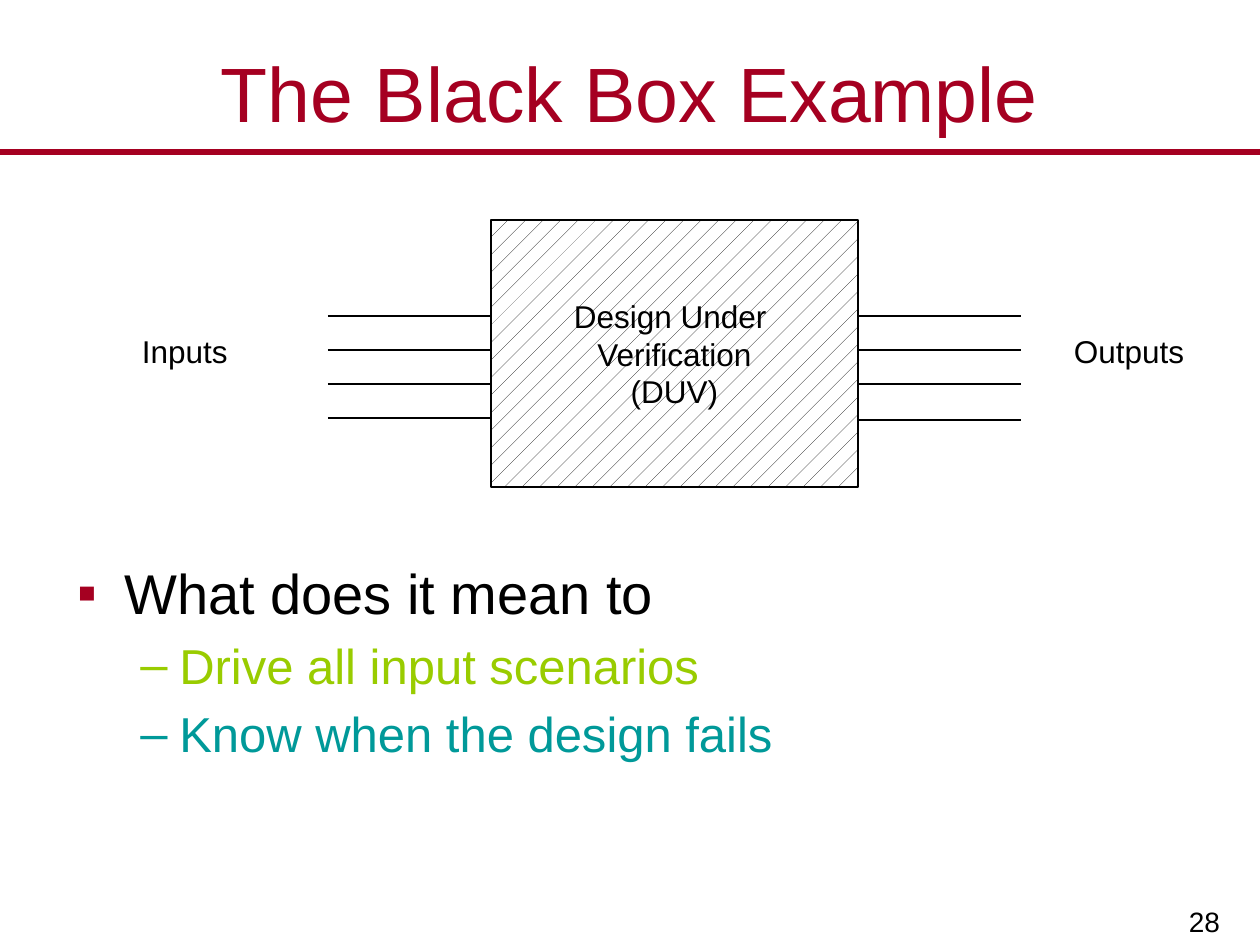
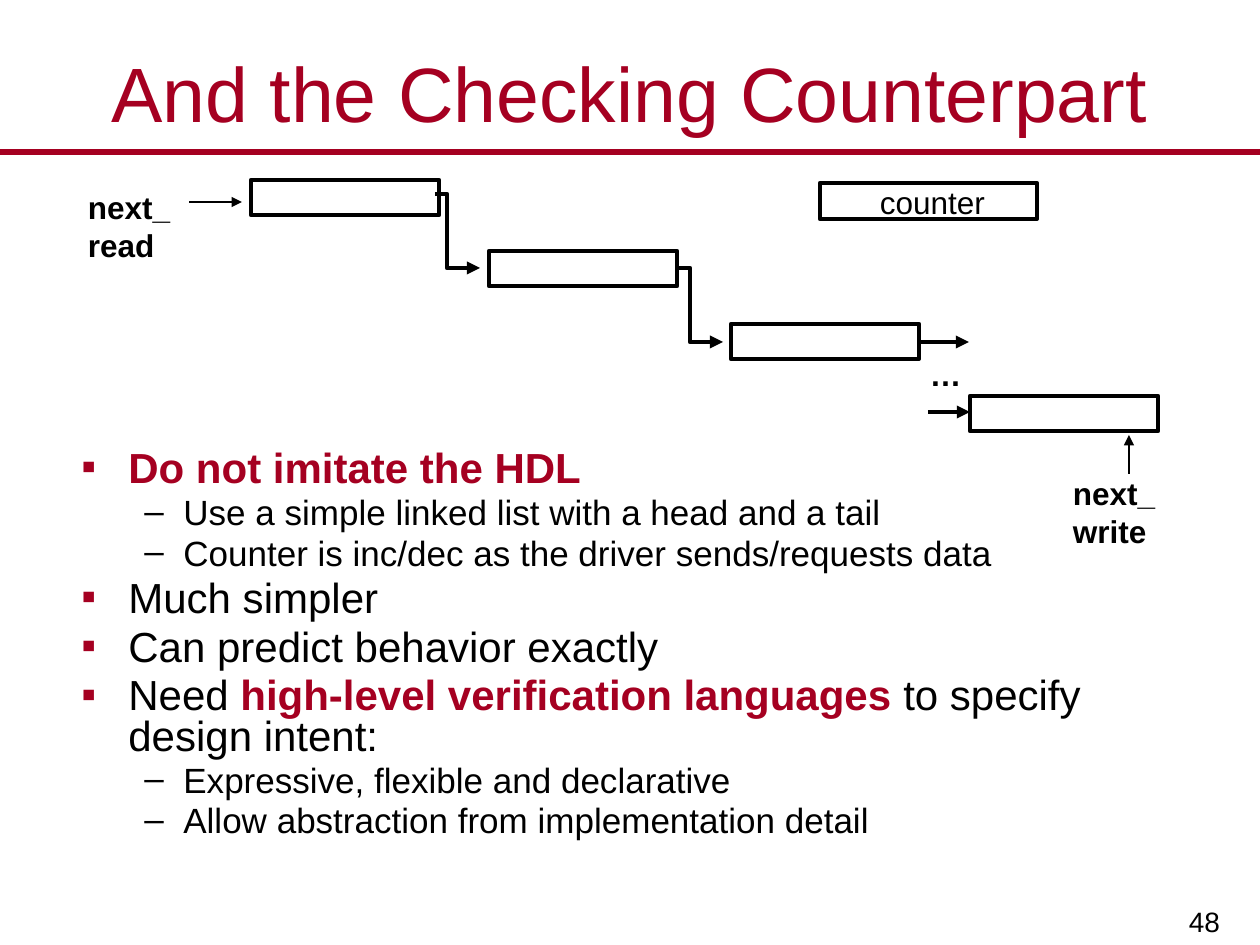
from lxml import etree
from pptx import Presentation
from pptx import util as u
from pptx.dml import color
from pptx.enum import dml, shapes, text
from pptx.oxml import ns

SCALE = 914400 / 126
FONT = "Arial"
RED, BLACK, WHITE, GREEN, TEAL = "A50021", "000000", "FFFFFF", "99CC00", "009999"
LEFT, CENTER, RIGHT = text.PP_ALIGN.LEFT, text.PP_ALIGN.CENTER, text.PP_ALIGN.RIGHT
TOP, MIDDLE, BOTTOM = text.MSO_ANCHOR.TOP, text.MSO_ANCHOR.MIDDLE, text.MSO_ANCHOR.BOTTOM
PADDING = (13, 6)
THIN, MEDIUM, THICK = 0.75, 1.5, 2.5

# Outline entries: level, then (words, colour, bold) runs
BLACK_BOX = {
    "title": "The Black Box Example", "number": "28",
    "outline_at": (64, 552, 1134, 294), "sizes": (32, 28), "spacing": None,
    "outline": [
        (0, [("What does it mean to", BLACK, False)]),
        (1, [("Drive all input scenarios", GREEN, False)]),
        (1, [("Know when the design fails", TEAL, False)]),
    ],
}
COUNTERPART = {
    "title": "And the Checking Counterpart", "number": "48",
    "outline_at": (68, 445, 1119, 438), "sizes": (24, 20), "spacing": 0.8,
    "outline": [
        (0, [("Do not imitate the HDL", RED, True)]),
        (1, [("Use a simple linked list with a head and a tail", BLACK, False)]),
        (1, [("Counter is inc/dec as the driver sends/requests data", BLACK, False)]),
        (0, [("Much simpler", BLACK, False)]),
        (0, [("Can predict behavior exactly", BLACK, False)]),
        (0, [("Need ", BLACK, False),
             ("high-level verification languages", RED, True),
             (" to specify design intent:", BLACK, False)]),
        (1, [("Expressive, flexible and declarative", BLACK, False)]),
        (1, [("Allow abstraction from implementation detail", BLACK, False)]),
    ],
}
BULLETS = [("▪", RED, 48, 47), ("–", None, 103, 39)]  # sign, colour, margin, hang

DESIGN_BOX = (491, 220, 367, 267)
DESIGN_LINES = ["Design Under ", "Verification", "(DUV)"]
WIRE_LENGTH = 163
INPUT_ROWS = [316, 350, 384, 418]
OUTPUT_ROWS = [316, 350, 384, 420]
PORT_LABELS = [("Inputs", (129, 326, 124, 50)), ("Outputs", (1061, 326, 150, 50))]

NODE_SIZE = (188, 35)
NODES = [(251, 180), (489, 251), (731, 324), (970, 396)]
ELBOW_STARTS = [(435, 194), (678, 268)]
ELBOW_STEPS = [(12, 0), (12, 74), (45, 74)]
ARROWS = [
    ((189, 202), (242, 202), MEDIUM),
    ((1129, 474), (1129, 435), MEDIUM),
    ((920, 342), (969, 342), THICK),
    ((928, 412), (970, 412), THICK),
]
COUNTER_BOX = (820, 183, 217, 36)
POINTER_LABELS = [
    (["next_", "read"], (88, 188, 101, 73)),
    (["next_", "write"], (1073, 474, 102, 67)),
    (["…"], (930, 355, 102, 67)),
]


def emu(*pixels):
    """Turn pixel lengths into EMU."""
    return [u.Emu(round(value * SCALE)) for value in pixels]


def rgb(code):
    """Make a colour from a hex string."""
    return color.RGBColor.from_string(code)


def style_run(run, size, hue=BLACK, bold=False):
    """Set the font of one run."""
    run.font.name, run.font.size, run.font.bold = FONT, u.Pt(size), bold
    run.font.color.rgb = rgb(hue)


def frame_text(shape, lines, size, hue=BLACK, bold=False, align=LEFT,
               anchor=TOP, padding=PADDING):
    """Fill a shape with equally styled paragraphs."""
    frame = shape.text_frame
    frame.word_wrap, frame.vertical_anchor = True, anchor
    frame.margin_left, frame.margin_top = emu(*padding)
    frame.margin_right, frame.margin_bottom = emu(*padding)
    frame.text = "\n".join(lines)
    for paragraph in frame.paragraphs:
        paragraph.alignment = align
        for run in paragraph.runs:
            style_run(run, size, hue, bold)


def add_label(slide, at, lines, size, **style):
    """Add a text box."""
    frame_text(slide.shapes.add_textbox(*emu(*at)), lines, size, **style)


def set_line(shape, width, hue=BLACK, arrow=False):
    """Style an outline or line, with an arrowhead if wanted."""
    shape.line.color.rgb, shape.line.width = rgb(hue), u.Pt(width)
    if arrow:
        outline = shape._element.spPr.find(ns.qn("a:ln"))
        etree.SubElement(outline, ns.qn("a:tailEnd"), type="triangle")


def add_line(slide, start, end, width, hue=BLACK, arrow=False):
    """Add a straight connector without shadow."""
    line = slide.shapes.add_connector(shapes.MSO_CONNECTOR.STRAIGHT, *emu(*start, *end))
    set_line(line, width, hue, arrow)
    etree.SubElement(line._element.spPr, ns.qn("a:effectLst"))


def add_box(slide, at, width, kind=shapes.MSO_SHAPE.RECTANGLE):
    """Add an unfilled outlined box."""
    box = slide.shapes.add_shape(kind, *emu(*at))
    box.shadow.inherit = False
    box.fill.background()
    set_line(box, width)
    return box


def add_elbow(slide, start):
    """Add a bent arrow leading from one node to the next."""
    x, y = start
    builder = slide.shapes.build_freeform(x, y, scale=SCALE)
    builder.add_line_segments([(x + dx, y + dy) for dx, dy in ELBOW_STEPS], close=False)
    elbow = builder.convert_to_shape()
    elbow.shadow.inherit = False
    elbow.fill.background()
    set_line(elbow, THICK, arrow=True)


def set_bullet(paragraph, level):
    """Give a paragraph its indent, space before and bullet."""
    sign, hue, margin, hang = BULLETS[level]
    paragraph.level = level
    properties = paragraph._p.get_or_add_pPr()
    properties.set("marL", str(emu(margin)[0]))
    properties.set("indent", str(emu(-hang)[0]))
    before = etree.SubElement(properties, ns.qn("a:spcBef"))
    etree.SubElement(before, ns.qn("a:spcPct"), val="20000")
    if hue:
        bullet_color = etree.SubElement(properties, ns.qn("a:buClr"))
        etree.SubElement(bullet_color, ns.qn("a:srgbClr"), val=hue)
    etree.SubElement(properties, ns.qn("a:buFont"), typeface=FONT)
    etree.SubElement(properties, ns.qn("a:buChar"), char=sign)


def add_outline(slide, content):
    """Add the bulleted text of a slide."""
    frame = slide.shapes.add_textbox(*emu(*content["outline_at"])).text_frame
    frame.word_wrap = True
    for index, (level, runs) in enumerate(content["outline"]):
        paragraph = frame.add_paragraph() if index else frame.paragraphs[0]
        paragraph.line_spacing = content["spacing"]
        set_bullet(paragraph, level)
        for words, hue, bold in runs:
            run = paragraph.add_run()
            run.text = words
            style_run(run, content["sizes"][level], hue, bold)


def add_slide(presentation, content):
    """Add a slide with rule, number, title and outline."""
    slide = presentation.slides.add_slide(presentation.slide_layouts[6])
    add_line(slide, (0, 152), (1260, 152), 3, RED)
    add_label(slide, (983, 873, 251, 72), [content["number"]], 16,
              align=RIGHT, anchor=BOTTOM, padding=(14, 7))
    add_label(slide, (0, 38, 1260, 108), [content["title"]], 44,
              hue=RED, align=CENTER, anchor=MIDDLE)
    add_outline(slide, content)
    return slide


def draw_black_box(slide):
    """Draw the hatched design with its input and output wires."""
    box = add_box(slide, DESIGN_BOX, THIN)
    box.fill.patterned()
    box.fill.pattern = dml.MSO_PATTERN.PERCENT_5
    box.fill.fore_color.rgb, box.fill.back_color.rgb = rgb(BLACK), rgb(WHITE)
    frame_text(box, DESIGN_LINES, 18, align=CENTER, anchor=MIDDLE)
    left, right = DESIGN_BOX[0], DESIGN_BOX[0] + DESIGN_BOX[2]
    for start, rows in ((left - WIRE_LENGTH, INPUT_ROWS), (right, OUTPUT_ROWS)):
        for y in rows:
            add_line(slide, (start, y), (start + WIRE_LENGTH, y), THIN)
    for label, at in PORT_LABELS:
        add_label(slide, at, [label], 18)


def draw_linked_list(slide):
    """Draw the chain of nodes, its pointers and the counter."""
    for node in NODES:
        box = add_box(slide, node + NODE_SIZE, THICK, shapes.MSO_SHAPE.ROUNDED_RECTANGLE)
        box.adjustments[0] = 0
    for start in ELBOW_STARTS:
        add_elbow(slide, start)
    for start, end, width in ARROWS:
        add_line(slide, start, end, width, arrow=True)
    counter = add_box(slide, COUNTER_BOX, THICK)
    counter.fill.solid()
    counter.fill.fore_color.rgb = rgb(WHITE)
    add_label(slide, (840, 189, 185, 26), ["counter"], 18,
              align=CENTER, anchor=MIDDLE, padding=(0, 0))
    for lines, at in POINTER_LABELS:
        add_label(slide, at, lines, 18, bold=True, padding=(0, 0))


presentation = Presentation()
presentation.slide_width, presentation.slide_height = emu(1260, 945)
draw_black_box(add_slide(presentation, BLACK_BOX))
draw_linked_list(add_slide(presentation, COUNTERPART))
presentation.save("out.pptx")
